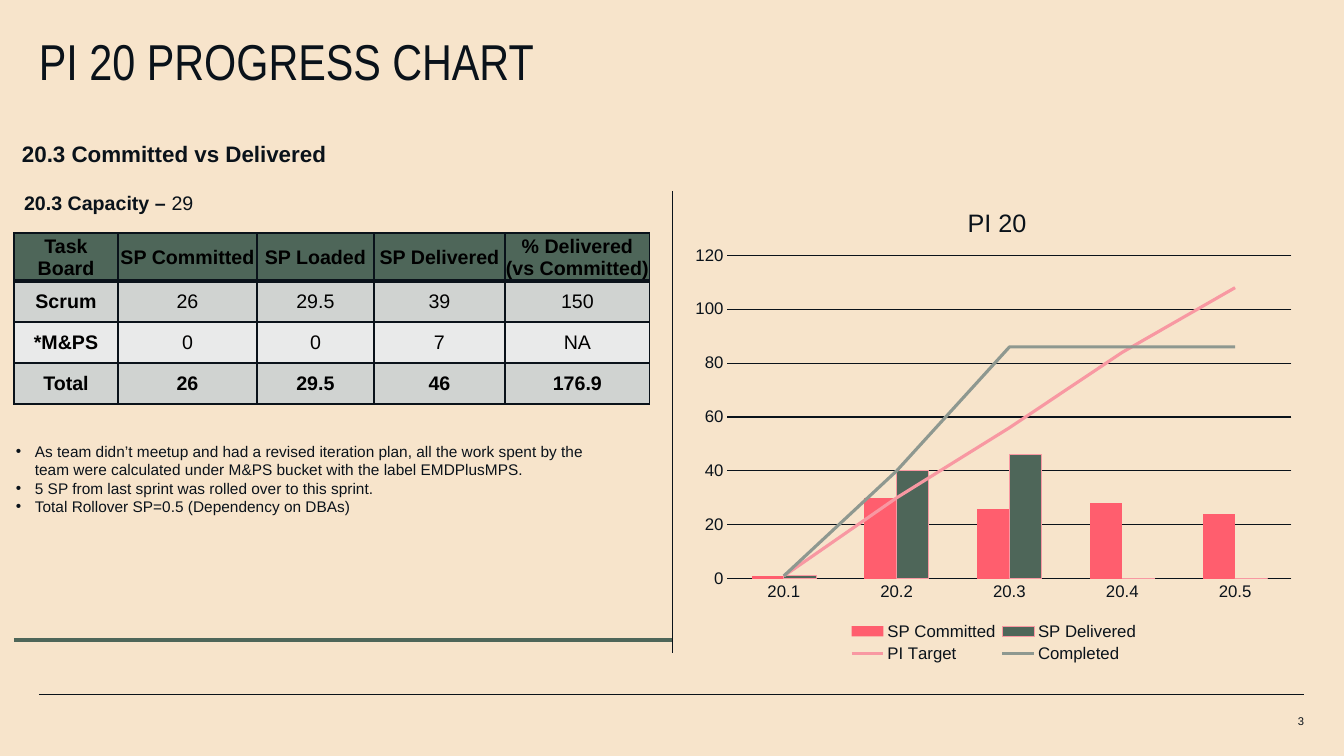
from lxml.etree import SubElement
from pptx import Presentation
from pptx.chart.data import CategoryChartData
from pptx.dml.color import RGBColor
from pptx.enum.chart import XL_CHART_TYPE, XL_LEGEND_POSITION, XL_MARKER_STYLE, XL_TICK_MARK
from pptx.enum.shapes import MSO_CONNECTOR
from pptx.enum.text import MSO_ANCHOR, PP_ALIGN
from pptx.oxml import parse_xml
from pptx.oxml.ns import nsdecls, qn
from pptx.util import Pt

PX = 9071.43  # EMU in one px
COLORS = {"paper": "F7E4CB", "ink": "0A121A", "black": "000000", "green": "4E6659",
          "red": "FF5E6E", "pink": "F898A2", "grey": "8E9890",
          "band": "D0D3D1", "light": "E9EAEA"}
RGB = {name: RGBColor.from_string(value) for name, value in COLORS.items()}


def emu(*lengths):
    """Turn px lengths into EMU."""
    return [round(n * PX) for n in lengths]


def style(font, size, color="ink", bold=False, name="Arial"):
    for key, value in {"size": Pt(size), "bold": bold, "name": name}.items():
        setattr(font, key, value)
    font.color.rgb = RGB[color]


prs = Presentation()
prs.slide_width, prs.slide_height = emu(1344, 756)
s = prs.slides.add_slide(prs.slide_layouts[6])
s.background.fill.solid()
s.background.fill.fore_color.rgb = RGB["paper"]

# Rules
for x1, y1, x2, y2, color, width in [
    (39, 694, 1304, 694, "ink", 0.25),
    (672, 191, 672, 653, "ink", 0.25),
    (14, 640, 672, 640, "green", 2.25),
]:
    line = s.shapes.add_connector(MSO_CONNECTOR.STRAIGHT, *emu(x1, y1, x2, y2))
    line.line.color.rgb = RGB[color]
    line.line.width = Pt(width)
    SubElement(line._element.spPr, qn("a:effectLst"))

# Single-line texts: box, runs, size, font, paragraph format, anchor
for box, runs, size, name, para, anchor in [
    ((39, 40, 1265, 76), [("PI 20 PROGRESS CHART", False)], 36, "Arial Narrow",
     {"line_spacing": Pt(36)}, MSO_ANCHOR.TOP),
    ((22, 140, 636, 40), [("20.3 Committed vs Delivered", True)], 16, "Arial",
     {"space_before": Pt(2)}, MSO_ANCHOR.TOP),
    ((24, 191, 640, 30), [("20.3 Capacity – ", True), ("29", False)], 14, "Arial",
     {"space_before": Pt(2)}, MSO_ANCHOR.TOP),
    ((1213, 701, 91, 40), [("3", False)], 8, "Arial",
     {"alignment": PP_ALIGN.RIGHT}, MSO_ANCHOR.MIDDLE),
]:
    tf = s.shapes.add_textbox(*emu(*box)).text_frame
    for key, value in {"word_wrap": True, "vertical_anchor": anchor, "margin_left": 0,
                       "margin_top": 0, "margin_right": 0, "margin_bottom": 0}.items():
        setattr(tf, key, value)
    p = tf.paragraphs[0]
    for key, value in para.items():
        setattr(p, key, value)
    for text, bold in runs:
        r = p.add_run()
        r.text = text
        style(r.font, size, bold=bold, name=name)

# Notes under the table
tf = s.shapes.add_textbox(*emu(6, 437, 620, 85)).text_frame
tf.word_wrap = True
for i, text in enumerate([
    "As team didn’t meetup and had a revised iteration plan, all the work spent by the team "
    "were calculated under M&PS bucket with the label EMDPlusMPS.",
    "5 SP from last sprint was rolled over to this sprint.",
    "Total Rollover SP=0.5 (Dependency on DBAs)",
]):
    p = tf.add_paragraph() if i else tf.paragraphs[0]
    r = p.add_run()
    r.text = text
    style(r.font, 11)
    indent, = emu(19)
    pPr = p._p.get_or_add_pPr()
    pPr.set("marL", str(indent))
    pPr.set("indent", str(-indent))
    SubElement(pPr, qn("a:buFont"), typeface="Arial")
    SubElement(pPr, qn("a:buChar"), char="•")

# Table
rows = [
    ("Task Board", "SP Committed", "SP Loaded", "SP Delivered", "% Delivered (vs Committed)"),
    ("Scrum", "26", "29.5", "39", "150"),
    ("*M&PS", "0", "0", "7", "NA"),
    ("Total", "26", "29.5", "46", "176.9"),
]
fills = ["green", "band", "light", "band"]
table = s.shapes.add_table(4, 5, *emu(14, 233, 636, 168)).table
table.horz_banding = False
for column, width in zip(table.columns, emu(104, 139, 117, 131, 145)):
    column.width = width
for row, height in zip(table.rows, emu(45, 41, 41, 41)):
    row.height = height
for i, row in enumerate(rows):
    for j, text in enumerate(row):
        cell = table.cell(i, j)
        for key, value in {"margin_left": 0, "margin_right": 0, "margin_top": emu(1)[0],
                           "margin_bottom": 0, "vertical_anchor": MSO_ANCHOR.MIDDLE}.items():
            setattr(cell, key, value)
        p = cell.text_frame.paragraphs[0]
        p.alignment = PP_ALIGN.CENTER
        r = p.add_run()
        r.text = text
        style(r.font, 14, "black", bold=i in (0, 3) or j == 0)
        tcPr = cell._tc.get_or_add_tcPr()
        for side in "LRTB":
            thick = (i, side) in [(0, "B"), (1, "T")]
            ln = SubElement(tcPr, qn(f"a:ln{side}"), w=str(int(Pt(3 if thick else 1))))
            SubElement(SubElement(ln, qn("a:solidFill")), qn("a:srgbClr"), val=COLORS["ink"])
        cell.fill.solid()
        cell.fill.fore_color.rgb = RGB[fills[i]]

# Chart: columns for each sprint, lines for the running totals
data = CategoryChartData()
data.categories = ["20.1", "20.2", "20.3", "20.4", "20.5"]
for name, values in {
    "SP Committed": (1, 30, 26, 28, 24),
    "SP Delivered": (1, 40, 46, 0, 0),
    "PI Target": (1, 30, 56, 84, 108),
    "Completed": (1, 40, 86, 86, 86),
}.items():
    data.add_series(name, values)
chart = s.shapes.add_chart(XL_CHART_TYPE.COLUMN_CLUSTERED, *emu(684, 177, 620, 490), data).chart
style(chart.font, 12)

bar_chart = chart._chartSpace.xpath(".//c:barChart")[0]
line_chart = parse_xml(f'<c:lineChart {nsdecls("c")}><c:grouping val="standard"/>'
                       '<c:varyColors val="0"/></c:lineChart>')
for ser in bar_chart.findall(qn("c:ser"))[2:]:
    for invert in ser.findall(qn("c:invertIfNegative")):
        ser.remove(invert)
    line_chart.append(ser)
SubElement(line_chart, qn("c:marker"), val="1")
for axis_id in bar_chart.findall(qn("c:axId")):
    SubElement(line_chart, qn("c:axId"), val=axis_id.get("val"))
bar_chart.addnext(line_chart)

columns, lines = chart.plots
columns.gap_width = 150
columns.overlap = 0
columns.vary_by_categories = False
for series, color in zip(columns.series, ["red", "green"]):
    series.format.fill.solid()
    series.format.fill.fore_color.rgb = RGB[color]
delivered = columns.series[1].format.line
delivered.color.rgb = RGB["pink"]
delivered.width = Pt(0.75)
for series, color in zip(lines.series, ["pink", "grey"]):
    series.format.line.color.rgb = RGB[color]
    series.format.line.width = Pt(2.25)
    series.marker.style = XL_MARKER_STYLE.NONE
    series.smooth = False

value_axis, category_axis = chart.value_axis, chart.category_axis
for key, value in {"minimum_scale": 0, "maximum_scale": 120, "major_unit": 20}.items():
    setattr(value_axis, key, value)
value_axis.format.line.fill.background()
for axis in (value_axis, category_axis):
    axis.major_tick_mark = axis.minor_tick_mark = XL_TICK_MARK.NONE
    style(axis.tick_labels.font, 12)
for rule in (value_axis.major_gridlines.format.line, category_axis.format.line):
    rule.color.rgb = RGB["ink"]
    rule.width = Pt(0.75)

chart.has_title = True
p = chart.chart_title.text_frame.paragraphs[0]
r = p.add_run()
r.text = "PI 20"
style(r.font, 18)
chart.has_legend = True
chart.legend.position = XL_LEGEND_POSITION.BOTTOM
chart.legend.include_in_layout = False
style(chart.legend.font, 12)

# Places inside the chart, as shares of its width and height
for tag, index, place in [
    ("c:plotArea", 0, {"x": 0.07, "y": 0.16, "w": 0.91, "h": 0.66}),
    ("c:title", 1, {"x": 0.45, "y": 0.05}),
    ("c:legend", 1, {"x": 0.26, "y": 0.9, "w": 0.48, "h": 0.1}),
]:
    part = chart._chartSpace.xpath(f"c:chart/{tag}")[0]
    for old in part.findall(qn("c:layout")):
        part.remove(old)
    layout = parse_xml(f'<c:layout {nsdecls("c")}><c:manualLayout/></c:layout>')
    if tag == "c:plotArea":
        SubElement(layout[0], qn("c:layoutTarget"), val="inner")
    for key in "xy":
        SubElement(layout[0], qn(f"c:{key}Mode"), val="edge")
    for key, share in place.items():
        SubElement(layout[0], qn(f"c:{key}"), val=str(share))
    part.insert(index, layout)

prs.save("out.pptx")
